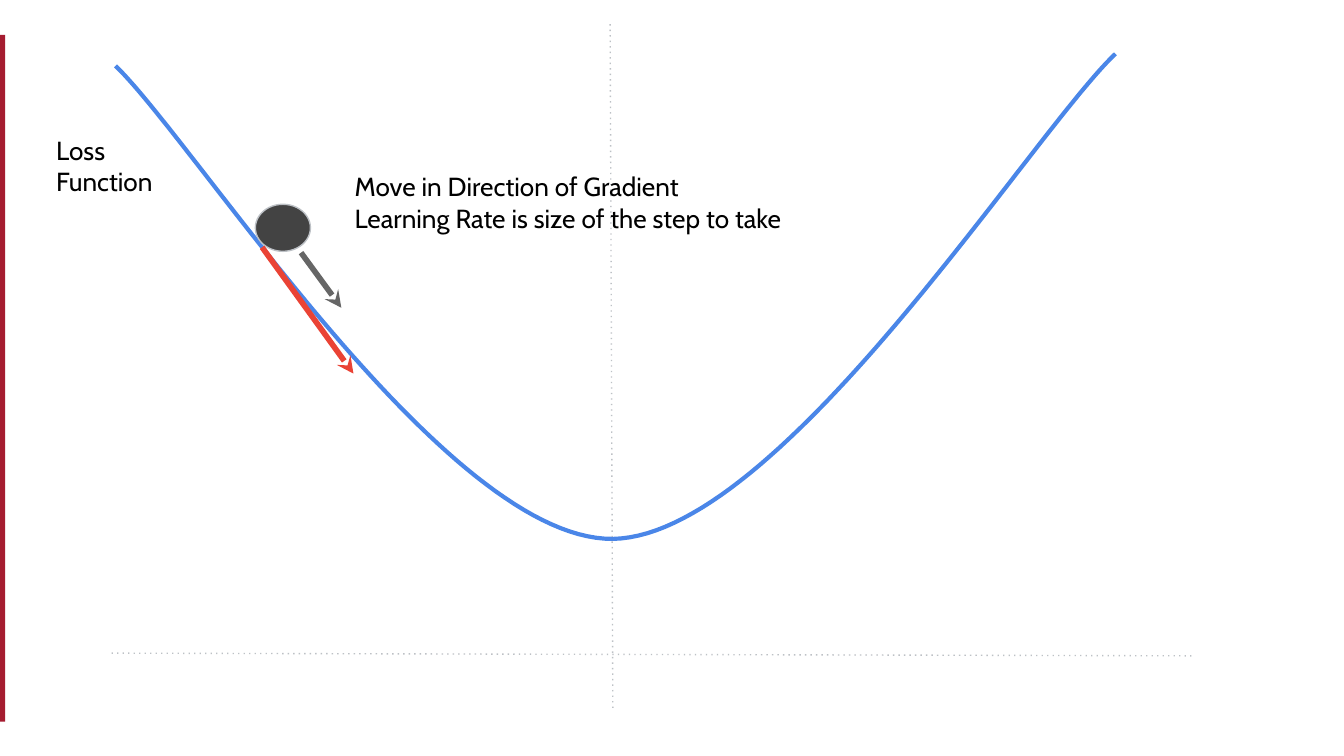
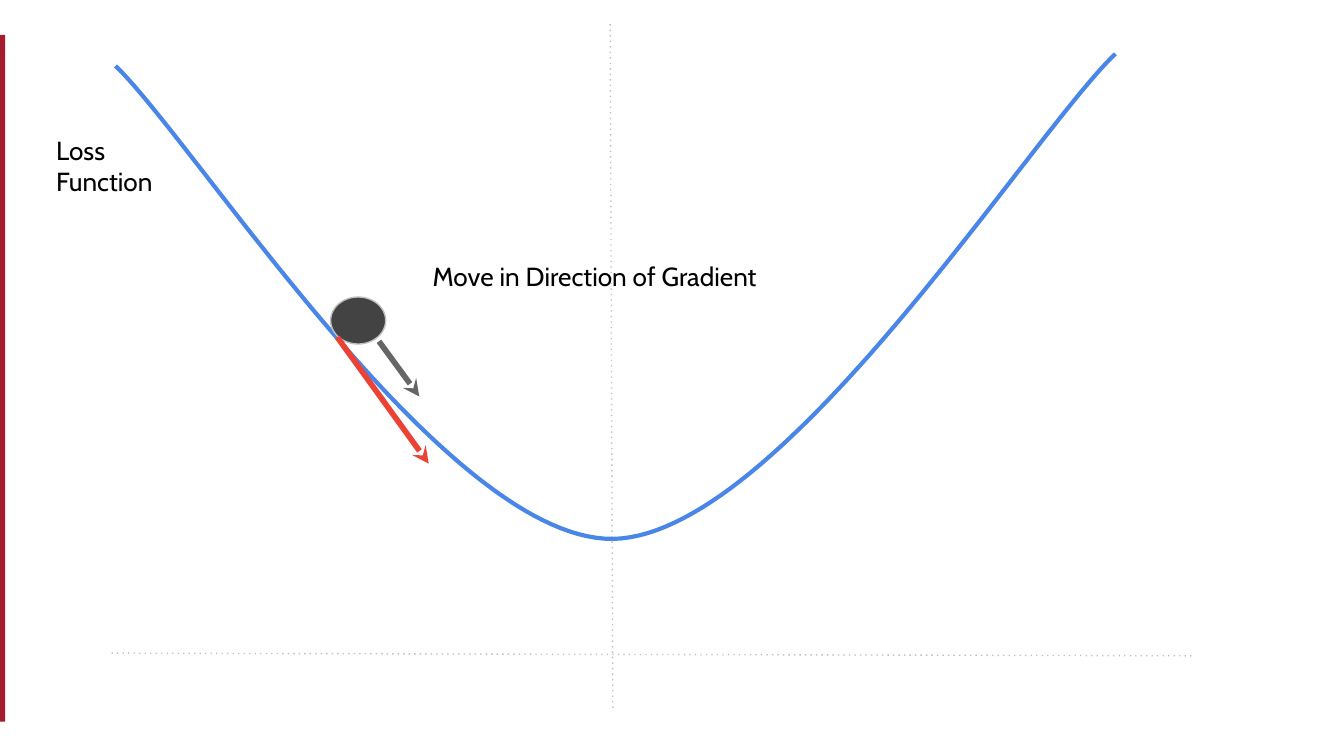
from lxml import etree
from pptx import Presentation
from pptx.dml.color import RGBColor
from pptx.enum import shapes, text
from pptx.oxml import ns
from pptx.util import Inches, Pt

CRIMSON = RGBColor(0xA5, 0x1C, 0x30)
AXIS_GREY = RGBColor(0xBD, 0xC1, 0xC6)
CURVE_BLUE = RGBColor(0x4A, 0x86, 0xE8)
BALL_GREY = RGBColor(0x43, 0x43, 0x43)
STEP_GREY = RGBColor(0x66, 0x66, 0x66)
GRADIENT_RED = RGBColor(0xEA, 0x43, 0x35)
BLACK = RGBColor(0, 0, 0)

FONT = "Cabin"
TEXT_SIZE = 14
CURVE_STEPS = 60
CURVE = [
    [(0, 0.09), (0.61, 0.68), (2.46, 3.62), (3.7, 3.61)],
    [(3.7, 3.61), (4.94, 3.59), (6.81, 0.6), (7.44, 0)],
]
STEP = (0.3, 0.41)
GRADIENT = (0.68, 0.94)


def add_line(slide, start, size, color, weight, ending, **attributes):
    x, y = start
    width, height = size
    line = slide.shapes.add_connector(
        shapes.MSO_CONNECTOR.STRAIGHT,
        Inches(x), Inches(y), Inches(x + width), Inches(y + height))
    line.line.color.rgb = color
    line.line.width = Pt(weight)
    etree.SubElement(line.get_or_add_ln(), ns.qn(ending), **attributes)
    etree.SubElement(line._element.spPr, ns.qn("a:effectLst"))


def add_arrow(slide, start, size, color):
    add_line(slide, start, size, color, 3, "a:tailEnd", type="stealth")


def add_label(slide, wording, left, top, width, height):
    label = slide.shapes.add_textbox(
        Inches(left), Inches(top), Inches(width), Inches(height))
    frame = label.text_frame
    frame.word_wrap = True
    frame.auto_size = text.MSO_AUTO_SIZE.SHAPE_TO_FIT_TEXT
    frame.margin_left = frame.margin_right = Inches(0.1)
    frame.margin_top = frame.margin_bottom = Inches(0.1)
    frame.text = wording
    paragraph = frame.paragraphs[0]
    for run in paragraph.runs:
        run.font.name = FONT
        run.font.size = Pt(TEXT_SIZE)
        run.font.color.rgb = BLACK
    for line_break in paragraph._p.findall(ns.qn("a:br")):
        etree.SubElement(line_break, ns.qn("a:rPr"), sz=str(TEXT_SIZE * 100))


def add_side_band(slide, left, top, width, height):
    band = slide.shapes.add_shape(
        shapes.MSO_SHAPE.RECTANGLE,
        Inches(left), Inches(top), Inches(width), Inches(height))
    band.shadow.inherit = False
    band.fill.solid()
    band.fill.fore_color.rgb = CRIMSON
    band.line.fill.background()


def add_axes(slide, left, top, width, height):
    for start, size in (((left + 3.71, top), (0.02, height)),
                        ((left, top + 4.68), (width, 0.02))):
        add_line(slide, start, size, AXIS_GREY, 0.75, "a:prstDash", val="dot")


def bezier_point(controls, t):
    weights = ((1 - t) ** 3, 3 * t * (1 - t) ** 2, 3 * t * t * (1 - t), t ** 3)
    return tuple(sum(w * point[axis] for w, point in zip(weights, controls))
                 for axis in (0, 1))


def add_loss_curve(slide, left, top):
    points = [CURVE[0][0]] + [
        bezier_point(controls, step / CURVE_STEPS)
        for controls in CURVE for step in range(1, CURVE_STEPS + 1)]
    (start_x, start_y), *rest = [
        (Inches(left + x), Inches(top + y)) for x, y in points]
    builder = slide.shapes.build_freeform(start_x, start_y)
    builder.add_line_segments(rest, close=False)
    curve = builder.convert_to_shape()
    curve.shadow.inherit = False
    curve.fill.background()
    curve.line.color.rgb = CURVE_BLUE
    curve.line.width = Pt(2.25)


def add_ball(slide, left, top):
    ball = slide.shapes.add_shape(
        shapes.MSO_SHAPE.OVAL,
        Inches(left), Inches(top), Inches(0.41), Inches(0.35))
    ball.shadow.inherit = False
    ball.fill.solid()
    ball.fill.fore_color.rgb = BALL_GREY
    ball.line.color.rgb = AXIS_GREY
    ball.line.width = Pt(0.75)


def add_descent_slide(deck, ball, step_start, gradient_start, caption, caption_box):
    slide = deck.slides.add_slide(deck.slide_layouts[6])
    add_side_band(slide, -0.02, 0.26, 0.06, 5.11)
    add_axes(slide, 0.83, 0.18, 8.06, 5.11)
    add_loss_curve(slide, 0.86, 0.4)
    add_label(slide, "Loss Function", 0.32, 0.9, 1.04, 0.67)
    add_ball(slide, *ball)
    add_arrow(slide, step_start, STEP, STEP_GREY)
    add_arrow(slide, gradient_start, GRADIENT, GRADIENT_RED)
    add_label(slide, caption, *caption_box)


def main():
    deck = Presentation()
    deck.slide_width = Inches(10)
    deck.slide_height = Inches(10 * 9 / 16)
    direction = "Move in Direction of Gradient"
    add_descent_slide(
        deck, (1.9, 1.52), (2.24, 1.88), (1.95, 1.84),
        direction + "\vLearning Rate is size of the step to take",
        (2.54, 1.17, 3.8, 0.67))
    add_descent_slide(
        deck, (2.46, 2.21), (2.82, 2.54), (2.51, 2.51),
        direction, (3.12, 1.84, 3.8, 0.43))
    deck.save("out.pptx")


if __name__ == "__main__":
    main()
